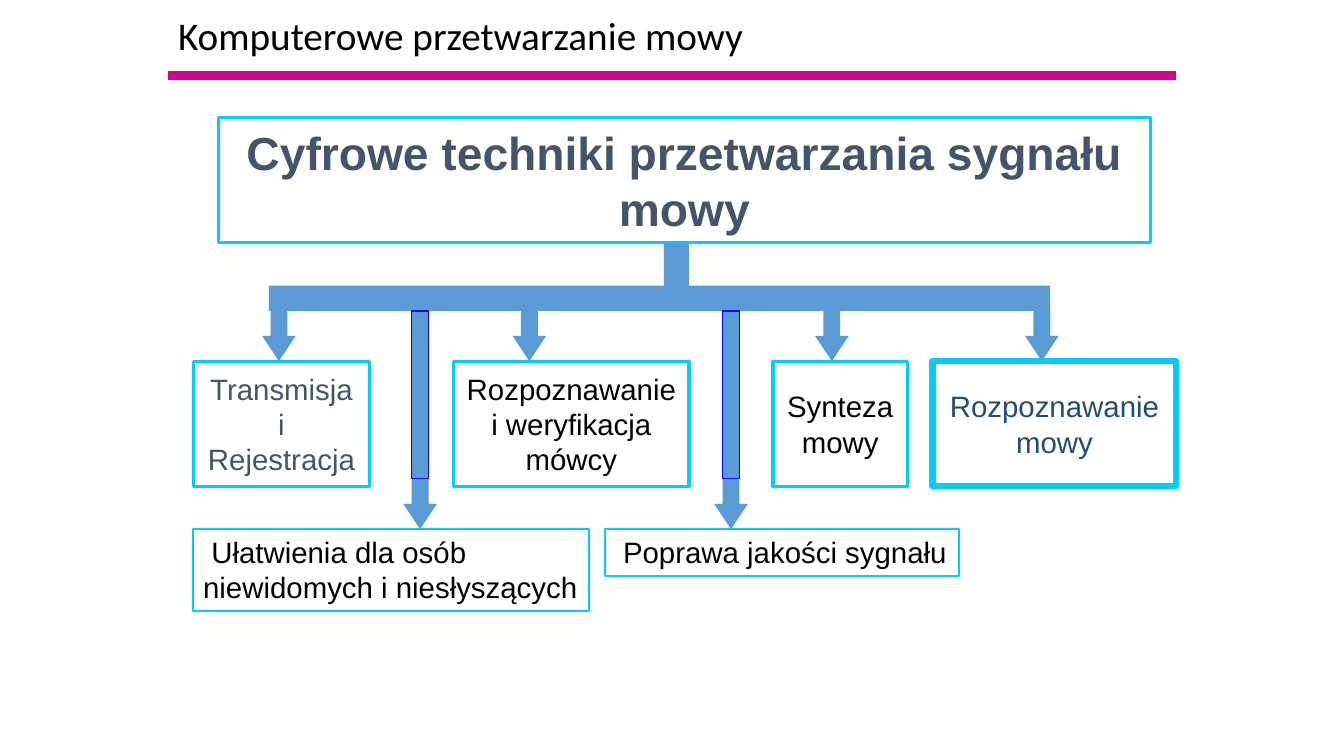
from pptx import Presentation, util as u
from pptx.dml.color import RGBColor
from pptx.enum import shapes, text
from pptx.oxml.ns import qn
from lxml import etree

BLACK = RGBColor(0x00, 0x00, 0x00)
SLATE = RGBColor(0x44, 0x54, 0x6A)
NAVY = RGBColor(0x1F, 0x4E, 0x79)
STEEL = RGBColor(0x5B, 0x9B, 0xD5)
CYAN = RGBColor(0x00, 0xCC, 0xFF)
BLUE = RGBColor(0x00, 0x00, 0xFF)
MAGENTA = RGBColor(0xD6, 0x00, 0x93)

# Grid rows, in twelfths of an inch
BAR_ROW, BRANCH_ROW, BOX_ROW = 34, 37, 43
LOWER_ARROW_ROW, LOWER_BOX_ROW = 57, 63
BOX_HEIGHT = 14.9
ARROW_WIDTH, ARROW_HEIGHT = 4, 6

# Column, width, wording, text colour, outline width
UPPER_BOXES = [
    (23, 21, "Transmisja i Rejestracja", SLATE, 2.25),
    (54, 28, "Rozpoznawanie i weryfikacja mówcy", BLACK, 2.25),
    (92, 16, "Synteza mowy", BLACK, 2.25),
    (111, 29, "Rozpoznawanie mowy", NAVY, 4.5),
]
# Column, width, height, wording
LOWER_BOXES = [
    (23, 47.1, 9.8, " Ułatwienia dla osób\nniewidomych i niesłyszących"),
    (72, 42.1, 5.6, " Poprawa jakości sygnału"),
]
UPPER_ARROWS = [31.2, 61, 97, 122]
LOWER_ARROWS = [48, 85]


def grid(cells):
    """Turn a count of grid cells into a length."""
    return u.Inches(cells / 12)


def set_all(target, values):
    for name, value in values.items():
        setattr(target, name, value)


def add_block(slide, kind, column, row, width, height, fill=None, outline=None, weight=1):
    shape = slide.shapes.add_shape(kind, *map(grid, (column, row, width, height)))
    shape.shadow.inherit = False
    if fill is None:
        shape.fill.background()
    else:
        shape.fill.solid()
        shape.fill.fore_color.rgb = fill
    if outline is None:
        shape.line.fill.background()
    else:
        shape.line.color.rgb = outline
        shape.line.width = u.Pt(weight)
    return shape


def write(shape, wording, color, frame_format, align, **font_format):
    frame = shape.text_frame
    set_all(frame, frame_format)
    frame.text = wording
    for paragraph in frame.paragraphs:
        paragraph.alignment = align
        font = paragraph.runs[0].font
        set_all(font, font_format)
        font.color.rgb = color


def add_box(slide, column, row, width, height, wording, color=BLACK, weight=2.25,
            size=21, bold=False, fitted=False):
    """Add an outlined box; a fitted one hugs its unwrapped, left-aligned text."""
    box = add_block(slide, shapes.MSO_SHAPE.RECTANGLE, column, row, width, height,
                    outline=CYAN, weight=weight)
    if fitted:
        frame_format = {"vertical_anchor": text.MSO_ANCHOR.TOP, "word_wrap": False,
                        "auto_size": text.MSO_AUTO_SIZE.SHAPE_TO_FIT_TEXT}
        align = text.PP_ALIGN.LEFT
    else:
        frame_format = {"vertical_anchor": text.MSO_ANCHOR.MIDDLE, "word_wrap": True}
        align = text.PP_ALIGN.CENTER
    write(box, wording, color, frame_format, align,
          name="Arial", size=u.Pt(size), bold=bold)


def add_bar(slide, column, row, width, height, outline=None):
    add_block(slide, shapes.MSO_SHAPE.RECTANGLE, column, row, width, height, STEEL, outline)


def add_arrow(slide, column, row):
    arrow = add_block(slide, shapes.MSO_SHAPE.DOWN_ARROW, column, row,
                      ARROW_WIDTH, ARROW_HEIGHT, STEEL)
    arrow.adjustments[0] = 0.5
    arrow.adjustments[1] = 0.75


def add_heading(slide):
    title = slide.shapes.title
    set_all(title, {"left": grid(20), "top": 0, "width": grid(120), "height": grid(9)})
    write(title, "Komputerowe przetwarzanie mowy", BLACK,
          {"vertical_anchor": text.MSO_ANCHOR.MIDDLE, "word_wrap": True,
           "auto_size": text.MSO_AUTO_SIZE.NONE},
          text.PP_ALIGN.LEFT, name="Calibri", size=u.Pt(28))
    title.text_frame.paragraphs[0].line_spacing = 0.9

    rule = slide.shapes.add_connector(shapes.MSO_CONNECTOR.STRAIGHT,
                                      grid(20), grid(9), grid(140), grid(9))
    rule.line.color.rgb = MAGENTA
    rule.line.width = u.Pt(6)
    etree.SubElement(rule.element.spPr, qn("a:effectLst"))


def main():
    presentation = Presentation()
    presentation.slide_width = u.Inches(13.33)
    presentation.slide_height = u.Inches(7.5)
    slide = presentation.slides.add_slide(presentation.slide_layouts.get_by_name("Title Only"))
    add_heading(slide)

    for column, width, wording, color, weight in UPPER_BOXES:
        add_box(slide, column, BOX_ROW, width, BOX_HEIGHT, wording, color, weight)
    add_bar(slide, 32, BAR_ROW, 93, 3)
    add_bar(slide, 79, 29, 3, 6)
    for column in UPPER_ARROWS:
        add_arrow(slide, column, BRANCH_ROW)
    for column, width, height, wording in LOWER_BOXES:
        add_box(slide, column, LOWER_BOX_ROW, width, height, wording, weight=1.5, fitted=True)
    for column in LOWER_ARROWS:
        add_bar(slide, column + 1, BRANCH_ROW, 2, LOWER_ARROW_ROW - BRANCH_ROW, BLUE)
        add_arrow(slide, column, LOWER_ARROW_ROW)
    add_box(slide, 26, 14, 110.9, BOX_HEIGHT, "Cyfrowe techniki przetwarzania sygnału mowy",
            SLATE, size=33, bold=True)

    presentation.save("out.pptx")


if __name__ == "__main__":
    main()
